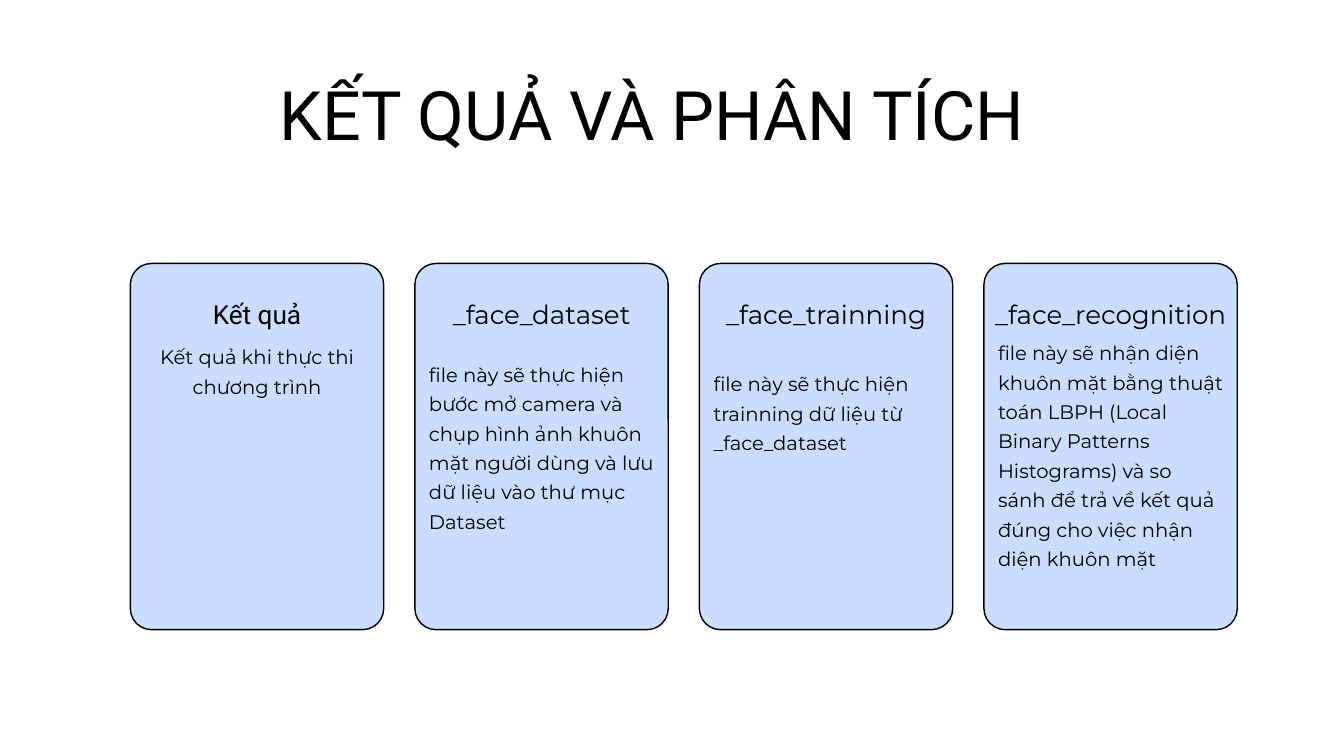
from collections import namedtuple

from pptx import Presentation
from pptx.dml.color import RGBColor
from pptx.enum.shapes import MSO_SHAPE
from pptx.enum.text import PP_ALIGN
from pptx.util import Inches, Pt

Box = namedtuple("Box", "left top width height")
Card = namedtuple("Card", "heading heading_font body body_row body_align")

CELL = 0.1
COLUMNS, ROWS = 200, 112.5
TITLE_BOX = Box(41.6, 12.7, 121.7, 10.6)
FIRST_CARD = Box(19.4, 39.2, 37.7, 54.5)
CARD_PITCH = 42.34
CORNER_RADIUS = 3.15
BODY_INSET = 2.1

CARDS = [
    Card("Kết quả", "Roboto", "Kết quả khi thực thi chương trình", 11.3, PP_ALIGN.CENTER),
    Card("_face_dataset", "Montserrat",
         "file này sẽ thực hiện bước mở camera và chụp hình ảnh khuôn mặt "
         "người dùng và lưu dữ liệu vào thư mục Dataset", 13.9, PP_ALIGN.LEFT),
    Card("_face_trainning", "Montserrat",
         "file này sẽ thực hiện trainning dữ liệu từ _face_dataset", 15.3, PP_ALIGN.LEFT),
    Card("_face_recognition", "Montserrat",
         "file này sẽ nhận diện khuôn mặt bằng thuật toán LBPH (Local Binary "
         "Patterns Histograms) và so sánh để trả về kết quả đúng cho việc "
         "nhận diện khuôn mặt", 10.7, PP_ALIGN.LEFT),
]


def color(value):
    """Turn a hex string into a colour."""
    return RGBColor.from_string(value)


def place(box):
    """Convert a box in grid cells to slide lengths."""
    return [Inches(cells * CELL) for cells in box]


def add_text(slide, box, text, *, size, spacing, font="Montserrat", align=PP_ALIGN.LEFT):
    """Add a wrapped text box without margins."""
    shape = slide.shapes.add_textbox(*place(box))
    frame = shape.text_frame
    frame.word_wrap = True
    frame.margin_left = frame.margin_right = frame.margin_top = frame.margin_bottom = 0
    paragraph = frame.paragraphs[0]
    paragraph.alignment = align
    paragraph.line_spacing = Pt(spacing)
    run = paragraph.add_run()
    run.text = text
    run.font.name = font
    run.font.size = Pt(size)
    run.font.color.rgb = color("000000")


def add_card(slide, box, card):
    """Draw one rounded card with its heading and body."""
    shape = slide.shapes.add_shape(MSO_SHAPE.ROUNDED_RECTANGLE, *place(box))
    shape.adjustments[0] = CORNER_RADIUS / box.width
    shape.shadow.inherit = False
    shape.fill.solid()
    shape.fill.fore_color.rgb = color("CADDFF")
    shape.line.color.rgb = color("000000")
    shape.line.width = Pt(1.5)
    heading_box = Box(box.left, box.top + 4.8, box.width, 4.9)
    add_text(slide, heading_box, card.heading, size=28, spacing=36.4,
             font=card.heading_font, align=PP_ALIGN.CENTER)
    body_box = Box(box.left + BODY_INSET, box.top + card.body_row,
                   box.width - 2 * BODY_INSET, box.height - card.body_row - BODY_INSET)
    add_text(slide, body_box, card.body, size=21, spacing=31.5, align=card.body_align)


def add_cards(slide, first_box, cards):
    """Lay the cards out in a row at an even pitch."""
    for index, card in enumerate(cards):
        add_card(slide, first_box._replace(left=first_box.left + index * CARD_PITCH), card)


def main():
    """Build and save the presentation."""
    presentation = Presentation()
    presentation.slide_width = Inches(COLUMNS * CELL)
    presentation.slide_height = Inches(ROWS * CELL)
    slide = presentation.slides.add_slide(presentation.slide_layouts[6])
    add_cards(slide, FIRST_CARD, CARDS)
    add_text(slide, TITLE_BOX, "KẾT QUẢ VÀ PHÂN TÍCH", size=73, spacing=73.8, font="Roboto")
    presentation.save("out.pptx")


if __name__ == "__main__":
    main()
